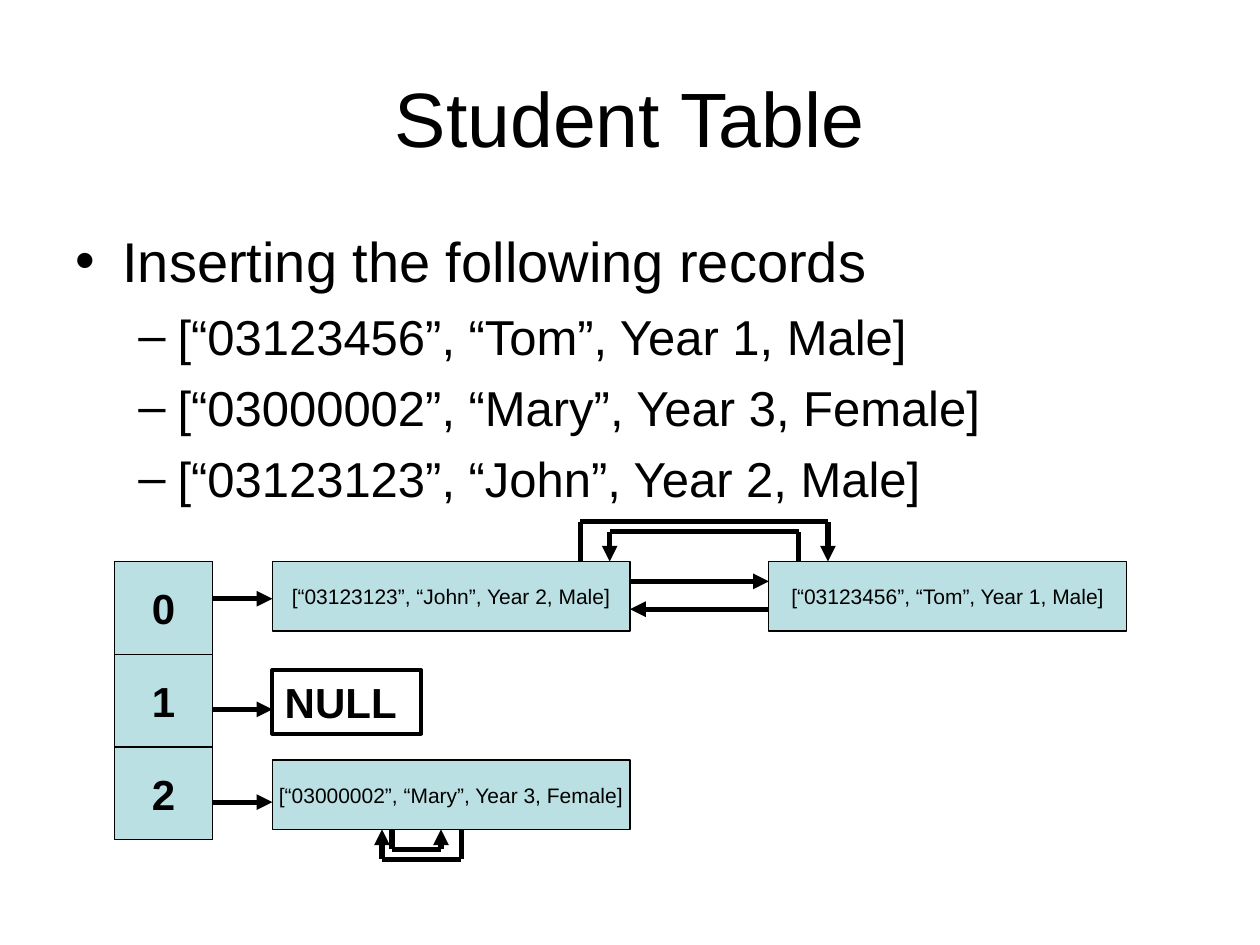
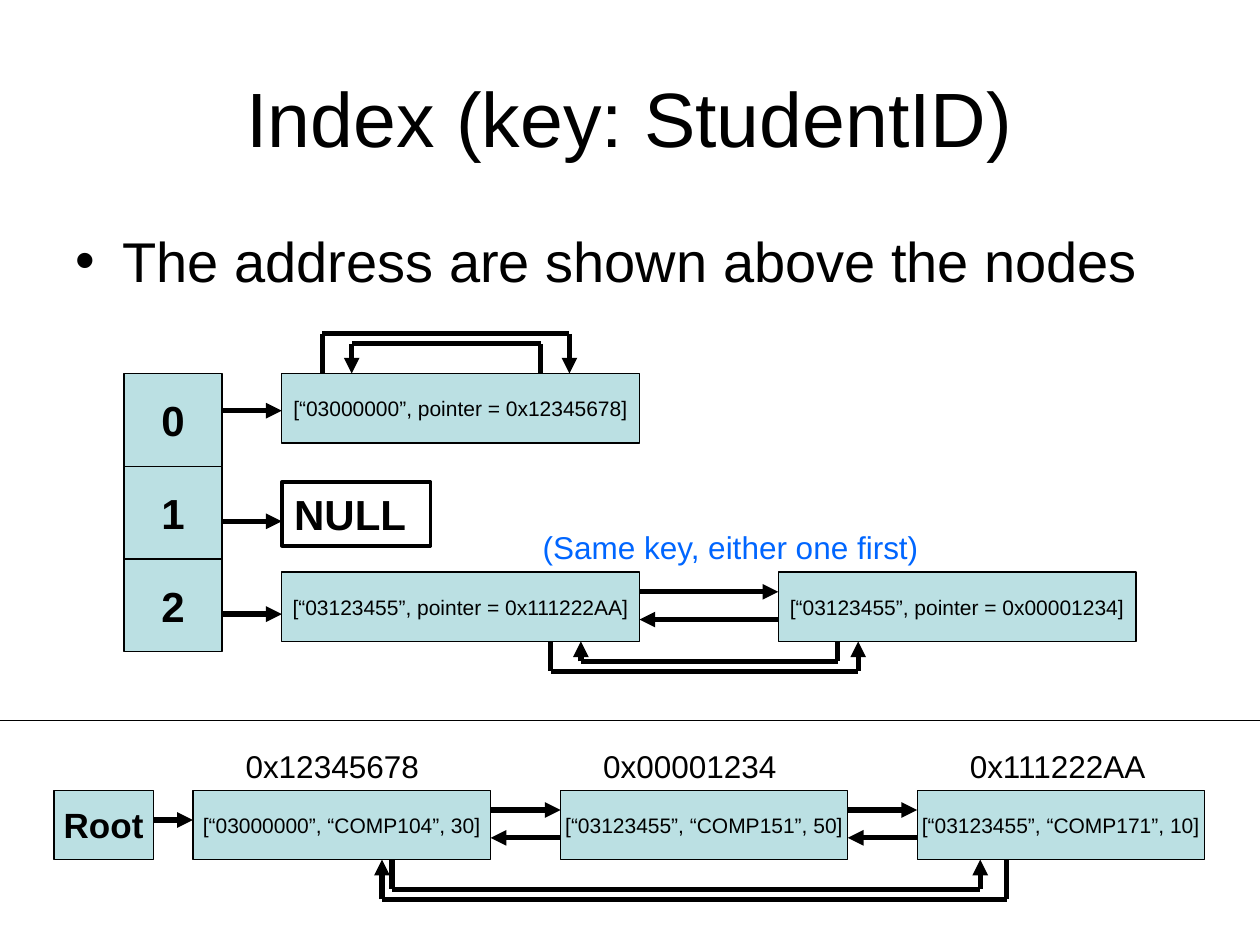
from lxml.etree import SubElement
from pptx import Presentation
from pptx.dml.color import RGBColor
from pptx.enum.shapes import MSO_CONNECTOR as Link, MSO_SHAPE as Shape
from pptx.enum.text import MSO_ANCHOR as Anchor, PP_ALIGN as Align
from pptx.oxml.ns import qn
from pptx.util import Cm, Pt

COLORS = {"ink": "000000", "node": "BBE0E3", "remark": "0066FF"}
FONT = "Arial"
BULLETS = (
    {"mark": "•", "size": 32, "before": 8, "margin": 0.95, "hang": 0.95},
    {"mark": "–", "size": 28, "before": 7, "margin": 2.06, "hang": 0.79},
)
NODE_H = 1.4
CELL_W, CELL_H = 1.98, 1.87
RECORD_X, RECORD_W, SECOND_X = 3.18, 7.21, 13.19
RECORD_ROWS = {0: 0, 2: 4}
NULL_Y = 2.19
BUCKET_ARROWS = (0.75, 2.98, 4.85)


class Deck:
    def __init__(self):
        self.presentation = Presentation()
        self.presentation.slide_width = Cm(25.4)
        self.presentation.slide_height = Cm(19.05)
        self.slide = None

    def color(self, name):
        return RGBColor.from_string(COLORS[name])

    def style(self, paragraph, size, bold=False, color="ink"):
        for run in paragraph.runs:
            run.font.name = FONT
            run.font.size = Pt(size)
            run.font.bold = bold
            run.font.color.rgb = self.color(color)

    def text(self, words, x, y, width, height, size, color="ink"):
        box = self.slide.shapes.add_textbox(Cm(x), Cm(y), Cm(width), Cm(height))
        frame = box.text_frame
        frame.word_wrap = True
        frame.text = words
        self.style(frame.paragraphs[0], size, color=color)
        return frame

    def start(self, title, points):
        self.slide = self.presentation.slides.add_slide(self.presentation.slide_layouts[6])
        heading = self.text(title, 1.27, 0.76, 22.86, 3.18, 44)
        heading.vertical_anchor = Anchor.MIDDLE
        heading.paragraphs[0].alignment = Align.CENTER
        body = self.text("\n".join(words for _, words in points), 1.27, 4.45, 22.86, 12.57, 32)
        for index, (level, _) in enumerate(points):
            self.bullet(body.paragraphs[index], level, first=index == 0)

    def bullet(self, paragraph, level, first):
        look = BULLETS[level]
        paragraph.level = level
        paragraph.space_before = Pt(0 if first else look["before"])
        properties = paragraph._p.get_or_add_pPr()
        properties.set("marL", str(Cm(look["margin"])))
        properties.set("indent", str(-Cm(look["hang"])))
        SubElement(properties, qn("a:buFont")).set("typeface", FONT)
        SubElement(properties, qn("a:buChar")).set("char", look["mark"])
        self.style(paragraph, look["size"])

    def box(self, words, x, y, width, height, size, bold, outline):
        shape = self.slide.shapes.add_shape(Shape.RECTANGLE, Cm(x), Cm(y), Cm(width), Cm(height))
        shape.shadow.inherit = False
        shape.line.color.rgb = self.color("ink")
        shape.line.width = Pt(outline)
        shape.text_frame.text = words
        self.style(shape.text_frame.paragraphs[0], size, bold)
        return shape

    def node(self, words, x, y, width, height=NODE_H, size=12, bold=False):
        shape = self.box(words, x, y, width, height, size, bold, 0.75)
        shape.fill.solid()
        shape.fill.fore_color.rgb = self.color("node")
        shape.text_frame.word_wrap = False
        shape.text_frame.vertical_anchor = Anchor.MIDDLE
        shape.text_frame.paragraphs[0].alignment = Align.CENTER

    def null(self, x, y):
        shape = self.box("NULL", x, y, 3, 1.28, 24, True, 2.25)
        shape.fill.background()
        shape.text_frame.word_wrap = True
        shape.text_frame.vertical_anchor = Anchor.TOP
        shape.text_frame.paragraphs[0].alignment = Align.LEFT

    def line(self, start, end, arrow=False, width=3):
        link = self.slide.shapes.add_connector(Link.STRAIGHT, *map(Cm, start + end))
        link.line.color.rgb = self.color("ink")
        link.line.width = Pt(width)
        if arrow:
            SubElement(link.line._get_or_add_ln(), qn("a:tailEnd")).set("type", "triangle")
        SubElement(link._element.spPr, qn("a:effectLst"))

    def arrow(self, start_x, end_x, y):
        self.line((start_x, y), (end_x, y), arrow=True)

    def exchange(self, left, right, node_y):
        self.arrow(left, right, node_y + 0.4)
        self.arrow(right, left, node_y + 0.96)

    def loop(self, start_x, end_x, edge, reach):
        rail = edge + reach
        self.line((start_x, edge), (start_x, rail))
        self.line((start_x, rail), (end_x, rail))
        self.line((end_x, rail), (end_x, edge), arrow=True)

    def hash_table(self, left, top, records, paired_row):
        for bucket, arrow_y in enumerate(BUCKET_ARROWS):
            self.node(str(bucket), left, top + bucket * CELL_H, CELL_W, CELL_H, 24, True)
            self.arrow(left + CELL_W, left + RECORD_X, top + arrow_y)
        for row, chain in records.items():
            for words, x in zip(chain, (RECORD_X, SECOND_X)):
                self.node(words, left + x, top + RECORD_ROWS[row], RECORD_W)
        self.exchange(left + RECORD_X + RECORD_W, left + SECOND_X, top + RECORD_ROWS[paired_row])
        self.null(left + RECORD_X, top + NULL_Y)


def student_table(deck):
    deck.start("Student Table", [
        (0, "Inserting the following records"),
        (1, "[“03123456”, “Tom”, Year 1, Male]"),
        (1, "[“03000002”, “Mary”, Year 3, Female]"),
        (1, "[“03123123”, “John”, Year 2, Male]"),
    ])
    top = 11.32
    deck.hash_table(2.31, top, {
        0: ["[“03123123”, “John”, Year 2, Male]", "[“03123456”, “Tom”, Year 1, Male]"],
        2: ["[“03000002”, “Mary”, Year 3, Female]"],
    }, paired_row=0)
    deck.loop(11.7, 16.69, top, -0.8)
    deck.loop(16.1, 12.29, top, -0.6)
    mary_bottom = top + RECORD_ROWS[2] + NODE_H
    deck.loop(9.3, 7.7, mary_bottom, 0.6)
    deck.loop(7.9, 8.89, mary_bottom, 0.4)


def student_index(deck):
    deck.start("Index (key: StudentID)", [(0, "The address are shown above the nodes")])
    top = 7.53
    deck.hash_table(2.5, top, {
        0: ["[“03000000”, pointer = 0x12345678]"],
        2: ["[“03123455”, pointer = 0x111222AA]", "[“03123455”, pointer = 0x00001234]"],
    }, paired_row=2)
    deck.loop(6.5, 11.48, top, -0.8)
    deck.loop(10.9, 7.09, top, -0.6)
    pair_bottom = top + RECORD_ROWS[2] + NODE_H
    deck.loop(16.89, 11.71, pair_bottom, 0.4)
    deck.loop(11.1, 17.3, pair_bottom, 0.6)
    deck.text("(Same key, either one first)", 10.69, 10.52, 8.2, 1.02, 18, "remark")
    deck.line((0, 14.52), (25.4, 14.52), width=0.75)
    course_list(deck, 15.93)


def course_list(deck, top):
    courses = [
        ("0x12345678", 4.7, "[“03000000”, “COMP104”, 30]", 3.89, 6),
        ("0x00001234", 11.91, "[“03123455”, “COMP151”, 50]", 11.3, 5.79),
        ("0x111222AA", 19.3, "[“03123455”, “COMP171”, 10]", 18.49, 5.79),
    ]
    deck.node("Root", 1.09, top, 2, size=20, bold=True)
    deck.arrow(3.09, 3.89, top + 0.6)
    for address, address_x, record, x, width in courses:
        deck.text(address, address_x, top - 0.99, 4.4, 1.02, 18)
        deck.node(record, x, top, width)
    for (*_, x, width), (*_, next_x, _) in zip(courses, courses[1:]):
        deck.exchange(x + width, next_x, top)
    deck.loop(20.29, 7.7, top + NODE_H, 0.8)
    deck.loop(7.9, 19.76, top + NODE_H, 0.6)


def main():
    deck = Deck()
    student_table(deck)
    student_index(deck)
    deck.presentation.save("out.pptx")


if __name__ == "__main__":
    main()
